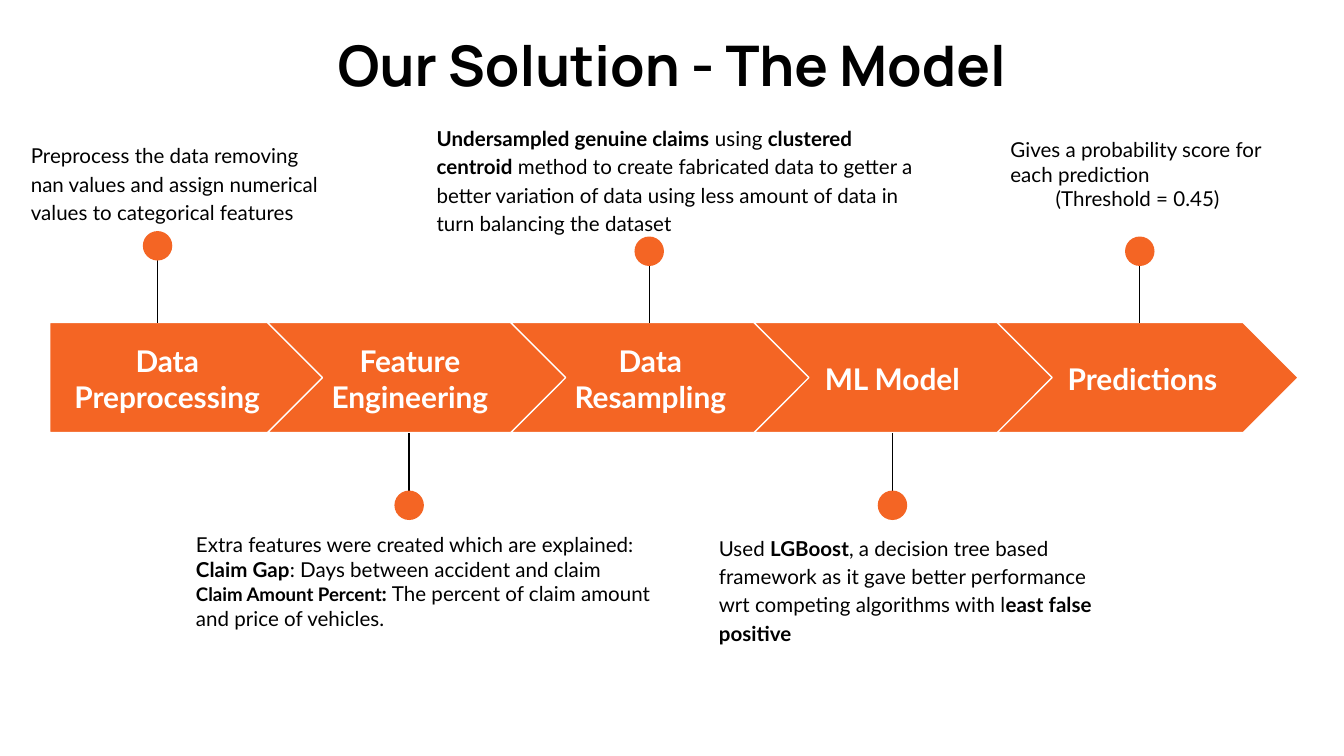
import pptx
import pptx.util
import pptx.dml.color
import pptx.enum.shapes
import pptx.enum.text
import lxml.etree

Pt = pptx.util.Pt
MSO = pptx.enum.shapes.MSO_SHAPE
ALIGN = pptx.enum.text.PP_ALIGN
ANCHOR = pptx.enum.text.MSO_ANCHOR
ORANGE, WHITE, BLACK = "F46524", "FFFFFF", "000000"


def rgb(value):
    return pptx.dml.color.RGBColor.from_string(value)


def add_text(s, box, paragraphs, size=11, color=BLACK, font="Lato", align=ALIGN.LEFT, anchor=ANCHOR.TOP):
    tf = s.shapes.add_textbox(*map(Pt, box)).text_frame
    tf.word_wrap = True
    tf.vertical_anchor = anchor
    tf.margin_left = tf.margin_right = tf.margin_top = tf.margin_bottom = Pt(7.2)
    for i, runs in enumerate(paragraphs):
        p = tf.paragraphs[0] if i == 0 else tf.add_paragraph()
        p.alignment = align
        for text, bold, *run_size in runs:
            r = p.add_run()
            r.text = text
            r.font.name = font
            r.font.size = Pt(run_size[0] if run_size else size)
            r.font.bold = bold
            r.font.color.rgb = rgb(color)
    return tf


prs = pptx.Presentation()
prs.slide_width, prs.slide_height = Pt(720), Pt(405)
s = prs.slides.add_slide(prs.slide_layouts[6])

add_text(s, (13, 9.4, 694, 48.2), [[("Our Solution - The Model", True)]],
         30, font="Manrope", align=ALIGN.CENTER)

ARROW_TOP, ARROW_HEIGHT, PITCH = 172.8, 59, 130.3
DOT = 15.8
steps = [
    ("Data Preprocessing", 26.6, 126, 84.4, 123.8, (9.4, 67.7, 176.4, 65.5), 1.15,
     [[("Preprocess the data removing nan values and assign numerical values to categorical features", False)]]),
    ("Feature Engineering", 167.8, 103.7, 219.2, 262.8, (97.9, 277.9, 257.8, 89.3), 1,
     [[("Extra features were created which are explained:", False)],
      [("Claim Gap", True), (": Days between accident and claim", False)],
      [("Claim Amount Percent", True, 10), (": ", True),
       ("The percent of claim amount and price of vehicles.", False)]]),
    ("Data Resampling", 296.6, 103.7, 347.8, 126.7, (226.8, 58.3, 272.2, 65.5), 1.15,
     [[("Undersampled genuine claims", True), (" using ", False), ("clustered centroid", True),
       (" method to create fabricated data to getter a better variation of data "
        "using less amount of data in turn balancing the dataset", False)]]),
    ("ML Model", 426.2, 103.7, 478.1, 262.8, (378, 277.9, 224.6, 89.3), 1.15,
     [[("Used ", False), ("LGBoost", True),
       (", a decision tree based framework as it gave better performance "
        "wrt competing algorithms with l", False), ("east false positive", True)]]),
    ("Predictions", 560.2, 103.7, 610.6, 126.7, (524.2, 66.2, 170.6, 57.6), 1,
     [[("Gives a probability score for each prediction", False)], [("(Threshold = 0.45)", False)]]),
]

for i, (label, label_left, label_width, x, dot_top, box, spacing, paragraphs) in enumerate(steps):
    kind, left, width = (MSO.CHEVRON, 13 + PITCH * i, 161.3) if i else (MSO.PENTAGON, 26.6, 147.6)
    arrow = s.shapes.add_shape(kind, Pt(left), Pt(ARROW_TOP), Pt(width), Pt(ARROW_HEIGHT))
    arrow.shadow.inherit = False
    arrow.adjustments[0] = 0.5
    arrow.fill.solid()
    arrow.fill.fore_color.rgb = rgb(ORANGE)
    arrow.line.color.rgb = rgb(WHITE)
    arrow.line.width = Pt(0.75)

    add_text(s, (label_left, 184.3, label_width, 36.7), [[(label, True)]],
             16, WHITE, align=ALIGN.CENTER, anchor=ANCHOR.MIDDLE)

    edge = ARROW_TOP if dot_top < ARROW_TOP else ARROW_TOP + ARROW_HEIGHT
    stem = s.shapes.add_connector(pptx.enum.shapes.MSO_CONNECTOR.STRAIGHT,
                                  Pt(x), Pt(dot_top + DOT / 2), Pt(x), Pt(edge))
    stem.line.color.rgb = rgb(BLACK)
    stem.line.width = Pt(0.75)
    lxml.etree.SubElement(stem._element.spPr, pptx.oxml.ns.qn("a:effectLst"))

    dot = s.shapes.add_shape(MSO.OVAL, Pt(x - DOT / 2), Pt(dot_top), Pt(DOT), Pt(DOT))
    dot.shadow.inherit = False
    dot.fill.solid()
    dot.fill.fore_color.rgb = rgb(ORANGE)
    dot.line.fill.background()

    tf = add_text(s, box, paragraphs)
    for p in tf.paragraphs:
        p.line_spacing = spacing

tf.paragraphs[0]._p.get_or_add_pPr().set("marL", str(Pt(10)))
tf.paragraphs[1].alignment = ALIGN.CENTER

prs.save("out.pptx")
